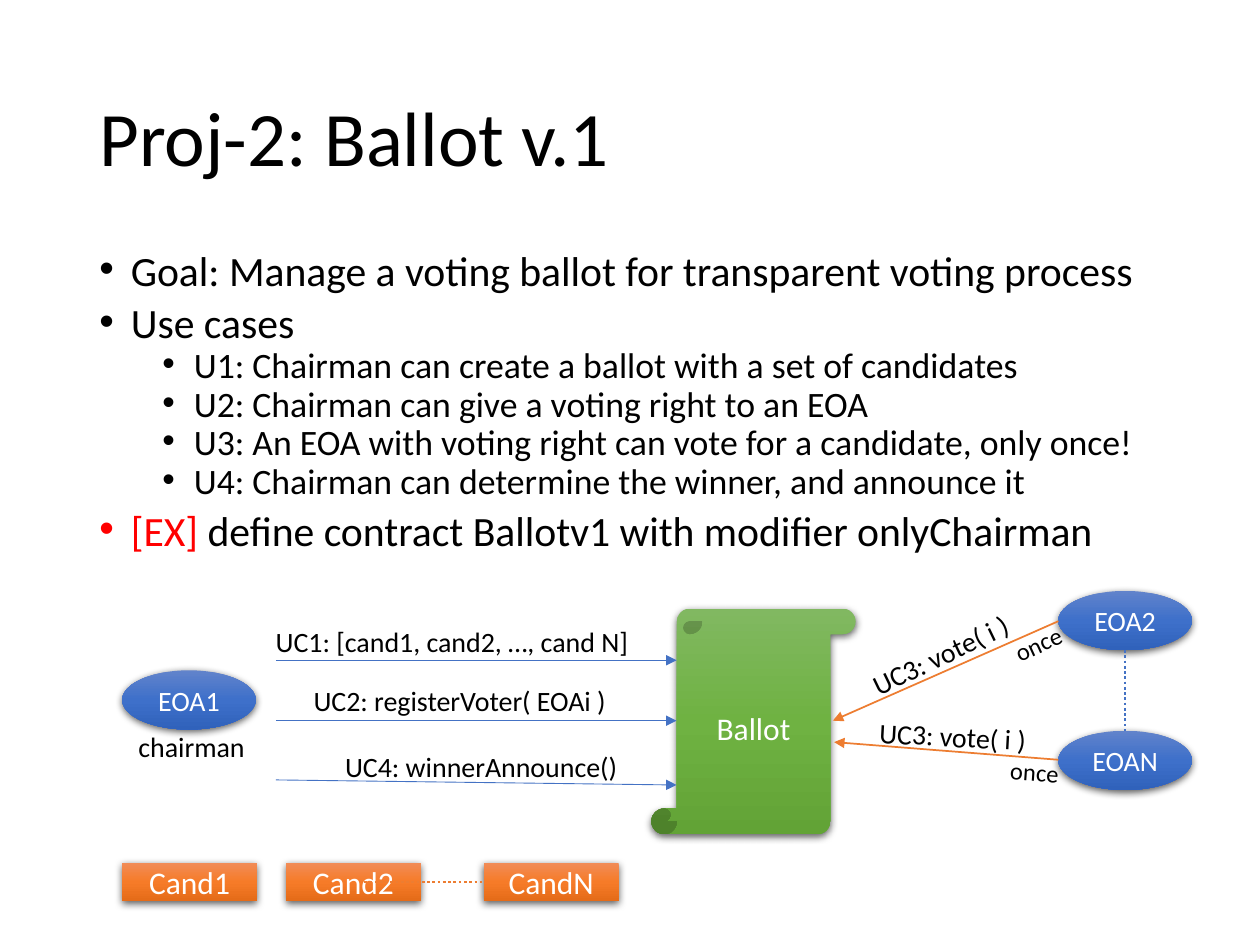
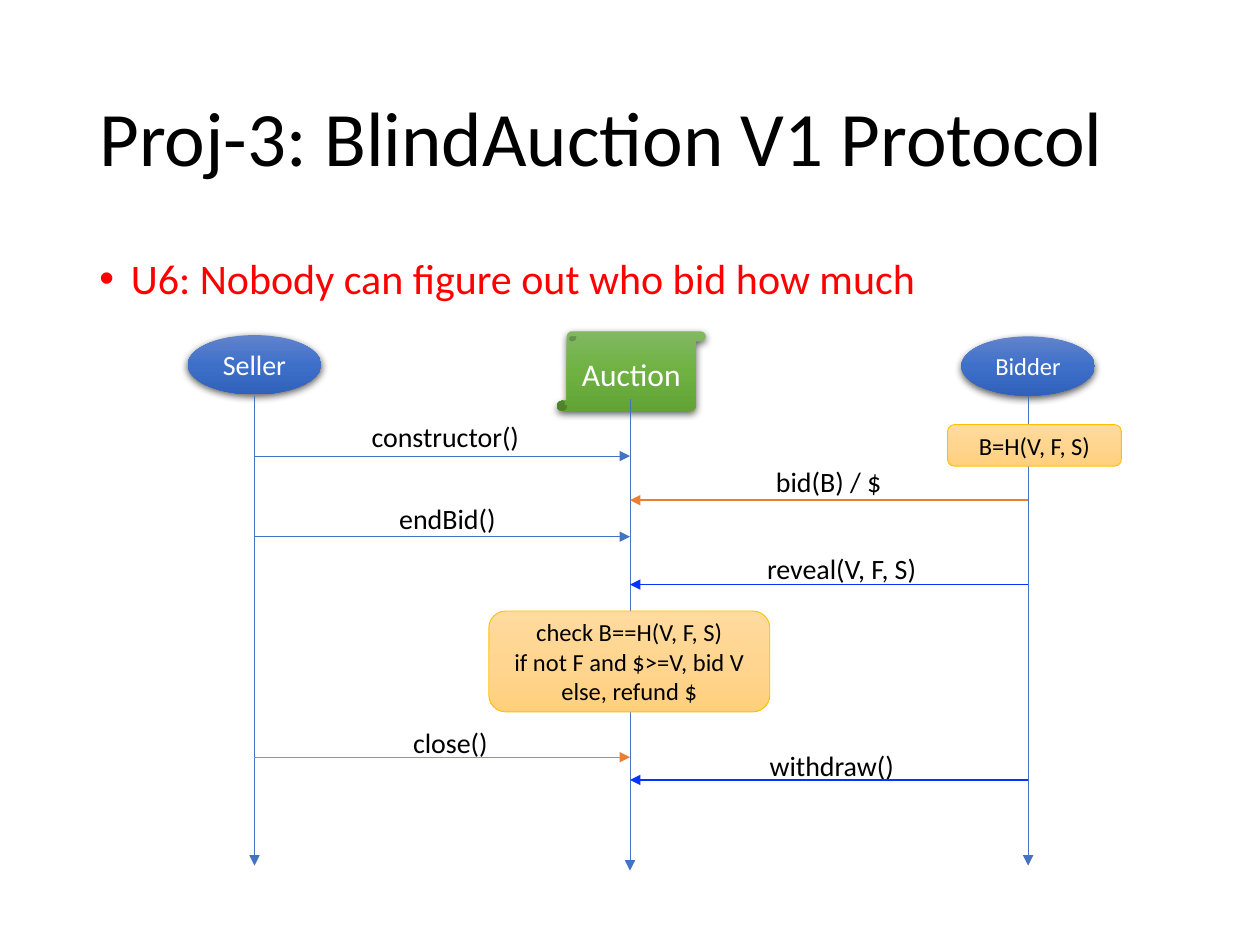
import lxml.etree
import pptx
import pptx.dml.color
import pptx.enum.dml
import pptx.enum.shapes
import pptx.enum.text
import pptx.oxml.ns
import pptx.util

Inches = pptx.util.Inches
Pt = pptx.util.Pt
RGBColor = pptx.dml.color.RGBColor
SHAPE = pptx.enum.shapes.MSO_SHAPE
ALIGN = pptx.enum.text.PP_ALIGN
ANCHOR = pptx.enum.text.MSO_ANCHOR
qn = pptx.oxml.ns.qn

BLACK = RGBColor(0x00, 0x00, 0x00)
WHITE = RGBColor(0xFF, 0xFF, 0xFF)
RED = RGBColor(0xFF, 0x00, 0x00)
BLUE = RGBColor(0x44, 0x72, 0xC4)
BRIGHT_BLUE = RGBColor(0x04, 0x32, 0xFF)
ORANGE = RGBColor(0xED, 0x7D, 0x31)
GOLD = RGBColor(0xFF, 0xC0, 0x00)
BLUE_FADE = (RGBColor(0x61, 0x83, 0xCB), RGBColor(0x3E, 0x70, 0xCA), RGBColor(0x30, 0x62, 0xBB))
GREEN_FADE = (RGBColor(0x81, 0xB8, 0x61), RGBColor(0x6F, 0xB2, 0x42), RGBColor(0x62, 0xA3, 0x36))
ORANGE_FADE = (RGBColor(0xF1, 0x8C, 0x57), RGBColor(0xF6, 0x7B, 0x28), RGBColor(0xE5, 0x6C, 0x19))
GOLD_FADE = (RGBColor(0xFF, 0xDB, 0x9E), RGBColor(0xFF, 0xD5, 0x90), RGBColor(0xFF, 0xD0, 0x7C))


def add_xml(parent, tag, **attributes):
    return lxml.etree.SubElement(parent, qn(tag), attributes)


class Deck:
    font = "Calibri"
    left, width = 0.69, 8.62

    def __init__(self):
        self.prs = pptx.Presentation()
        self.prs.slide_width = Inches(10)
        self.prs.slide_height = Inches(7.5)
        self.s = None

    def new_slide(self, title):
        self.s = self.prs.slides.add_slide(self.prs.slide_layouts[6])
        tf = self.text_box(self.left, 0.4, self.width, 1.45)
        tf.vertical_anchor = ANCHOR.MIDDLE
        tf.text = title
        tf.paragraphs[0].line_spacing = 0.9
        self.format_runs(tf.paragraphs[0], 44, BLACK)

    def format_runs(self, p, size, color):
        for r in p.runs:
            r.font.name = self.font
            r.font.size = Pt(size)
            r.font.color.rgb = color

    def text_box(self, x, y, w, h):
        sp = self.s.shapes.add_textbox(Inches(x), Inches(y), Inches(w), Inches(h))
        sp.text_frame.word_wrap = True
        return sp.text_frame

    def bullets(self, items, height, sizes, spacing):
        tf = self.text_box(self.left, 2, self.width, height)
        for i, (level, parts) in enumerate(items):
            p = tf.paragraphs[0] if i == 0 else tf.add_paragraph()
            p.level = level
            p.line_spacing = spacing
            p.space_before = Pt(5 if level else 10)
            for text, color in parts:
                r = p.add_run()
                r.text = text
                r.font.name = self.font
                r.font.size = Pt(sizes[level])
                r.font.color.rgb = color
            pPr = p._p.get_or_add_pPr()
            pPr.set("marL", str(Inches(0.25 + 0.5 * level)))
            pPr.set("indent", str(Inches(-0.25)))
            add_xml(pPr, "a:buFont", typeface="Arial")
            add_xml(pPr, "a:buChar", char="•")

    def label(self, text, x, y, w, size=16, rotation=0):
        height = 0.37 if size == 16 else 0.34
        sp = self.s.shapes.add_textbox(Inches(x), Inches(y), Inches(w), Inches(height))
        sp.rotation = rotation
        tf = sp.text_frame
        tf.text = text
        tf.word_wrap = False
        tf.auto_size = pptx.enum.text.MSO_AUTO_SIZE.SHAPE_TO_FIT_TEXT
        self.format_runs(tf.paragraphs[0], size, BLACK)

    def shape(self, kind, text, x, y, w, h, fade, size=18, color=WHITE, outline=None):
        sp = self.s.shapes.add_shape(kind, Inches(x), Inches(y), Inches(w), Inches(h))
        sp.shadow.inherit = False
        self.fade_fill(sp, fade)
        if outline is None:
            sp.line.fill.background()
            self.drop_shadow(sp)
        else:
            sp.line.color.rgb = outline
            sp.line.width = Pt(0.5)
        tf = sp.text_frame
        tf.text = text
        tf.vertical_anchor = ANCHOR.MIDDLE
        for p in tf.paragraphs:
            p.alignment = ALIGN.CENTER
            self.format_runs(p, size, color)
        return sp

    def fade_fill(self, sp, fade):
        sp.fill.gradient()
        sp.fill.gradient_angle = 270
        stops = sp._element.spPr.find(qn("a:gradFill")).find(qn("a:gsLst"))
        for stop in list(stops):
            stops.remove(stop)
        for position, color in zip((0, 50000, 100000), fade):
            stop = add_xml(stops, "a:gs", pos=str(position))
            add_xml(stop, "a:srgbClr", val=str(color))

    def drop_shadow(self, sp):
        effects = sp._element.spPr.find(qn("a:effectLst"))
        shadow = add_xml(effects, "a:outerShdw", blurRad=str(Pt(4.5)), dist=str(Pt(1.5)),
                         dir="5400000", algn="ctr", rotWithShape="0")
        add_xml(add_xml(shadow, "a:srgbClr", val=str(BLACK)), "a:alpha", val="63000")

    def actor(self, text, x, y, size=16):
        return self.shape(SHAPE.OVAL, text, x, y, 1.06, 0.47, BLUE_FADE, size)

    def contract(self, text, x, y, w, h):
        return self.shape(SHAPE.VERTICAL_SCROLL, text, x, y, w, h, GREEN_FADE)

    def note(self, text, x, y, w, h):
        return self.shape(SHAPE.ROUNDED_RECTANGLE, text, x, y, w, h, GOLD_FADE, 14, BLACK, GOLD)

    def line(self, x1, y1, x2, y2, color=BLUE, width=0.5):
        c = self.s.shapes.add_connector(pptx.enum.shapes.MSO_CONNECTOR.STRAIGHT,
                                        Inches(x1), Inches(y1), Inches(x2), Inches(y2))
        c.line.color.rgb = color
        c.line.width = Pt(width)
        add_xml(c._element.spPr, "a:effectLst")
        return c

    def arrow(self, x1, y1, x2, y2, color=BLUE, width=0.5):
        c = self.line(x1, y1, x2, y2, color, width)
        add_xml(c.line._get_or_add_ln(), "a:tailEnd", type="triangle")

    def dots(self, x1, y1, x2, y2, color):
        c = self.line(x1, y1, x2, y2, color, 1.5)
        c.line.dash_style = pptx.enum.dml.MSO_LINE.ROUND_DOT
        return c


def ballot_slide(deck):
    deck.new_slide("Proj-2: Ballot v.1")
    use_cases = (
        "U1: Chairman can create a ballot with a set of candidates",
        "U2: Chairman can give a voting right to an EOA",
        "U3: An EOA with voting right can vote for a candidate, only once!",
        "U4: Chairman can determine the winner, and announce it",
    )
    deck.bullets([
        (0, [("Goal: Manage a voting ballot for transparent voting process", BLACK)]),
        (0, [("Use cases", BLACK)]),
        *((1, [(text, BLACK)]) for text in use_cases),
        (0, [("[EX]", RED), (" define contract Ballotv1 with modifier onlyChairman", BLACK)]),
    ], 2.55, (23.8, 20.4), 0.7)

    deck.contract("Ballot", 5.17, 4.83, 1.62, 1.79)
    for name, x, y in (("EOA1", 0.97, 5.32), ("EOA2", 8.4, 4.69), ("EOAN", 8.4, 5.8)):
        deck.actor(name, x, y)
    deck.label("chairman", 1, 5.74, 1.05)
    deck.dots(8.93, 5.16, 8.93, 5.8, BLUE)

    for name, x in (("Cand1", 0.97), ("Cand2", 2.27), ("CandN", 3.84)):
        candidate = deck.shape(SHAPE.RECTANGLE, name, x, 6.85, 1.07, 0.3, ORANGE_FADE)
    deck.dots(2.89, 7, 3.84, 7, ORANGE).end_connect(candidate, 1)

    for text, x, y, w, start, end in (
        ("UC1: [cand1, cand2, …, cand N]", 2.09, 4.91, 3.03, 5.24, 5.24),
        ("UC2: registerVoter( EOAi )", 2.39, 5.38, 2.62, 5.72, 5.72),
        ("UC4: winnerAnnounce()", 2.64, 5.9, 2.39, 6.19, 6.23),
    ):
        deck.label(text, x, y, w)
        deck.arrow(2.19, start, 5.37, end)

    deck.arrow(8.4, 4.93, 6.61, 5.72, ORANGE, 1)
    deck.arrow(8.4, 6.03, 6.62, 5.89, ORANGE, 1)
    for x, y, rotation in ((6.78, 5.01, 334.2), (6.88, 5.66, 3.2)):
        deck.label("UC3: vote( i )", x, y, 1.38, rotation=rotation)
    for x, y, rotation in ((7.95, 4.94, 335.5), (7.92, 5.96, 4)):
        deck.label("once", x, y, 0.59, 14, rotation)


def auction_slide(deck):
    deck.new_slide("Proj-3: BlindAuction V1 Protocol")
    deck.bullets([(0, [("U6: Nobody can figure out who bid how much", RED)])], 0.99, (24,), 0.9)

    seller, auction, bidder = 2.02, 5, 8.16
    deck.contract("Auction", 4.42, 2.63, 1.18, 0.63)
    deck.actor("Seller", seller - 0.53, 2.66)
    deck.actor("Bidder", bidder - 0.53, 2.67, 14)
    for x, top, bottom in ((seller, 3.14, 6.87), (auction, 3.17, 6.91), (bidder, 3.14, 6.87)):
        deck.arrow(x, top, x, bottom)

    for text, x, y, w, sender, line_y, color, width in (
        ("constructor()", 2.85, 3.28, 1.39, seller, 3.62, BLUE, 0.5),
        ("bid(B) / $", 6.06, 3.64, 1.05, bidder, 3.97, ORANGE, 1),
        ("endBid()", 3.07, 3.93, 0.98, seller, 4.26, BLUE, 0.5),
        ("reveal(V, F, S)", 5.99, 4.33, 1.4, bidder, 4.64, BRIGHT_BLUE, 1),
        ("close()", 3.18, 5.71, 0.8, seller, 6.01, ORANGE, 0.5),
        ("withdraw()", 6.01, 5.89, 1.2, bidder, 6.19, BRIGHT_BLUE, 1),
    ):
        deck.label(text, x, y, w)
        deck.arrow(sender, line_y, auction, line_y, color, width)

    deck.note("B=H(V, F, S)", 7.52, 3.37, 1.38, 0.33)
    deck.note("check B==H(V, F, S)\nif not F and $>=V, bid V\nelse, refund $", 3.88, 4.85, 2.23, 0.8)


def main():
    deck = Deck()
    ballot_slide(deck)
    auction_slide(deck)
    deck.prs.save("out.pptx")


if __name__ == "__main__":
    main()
